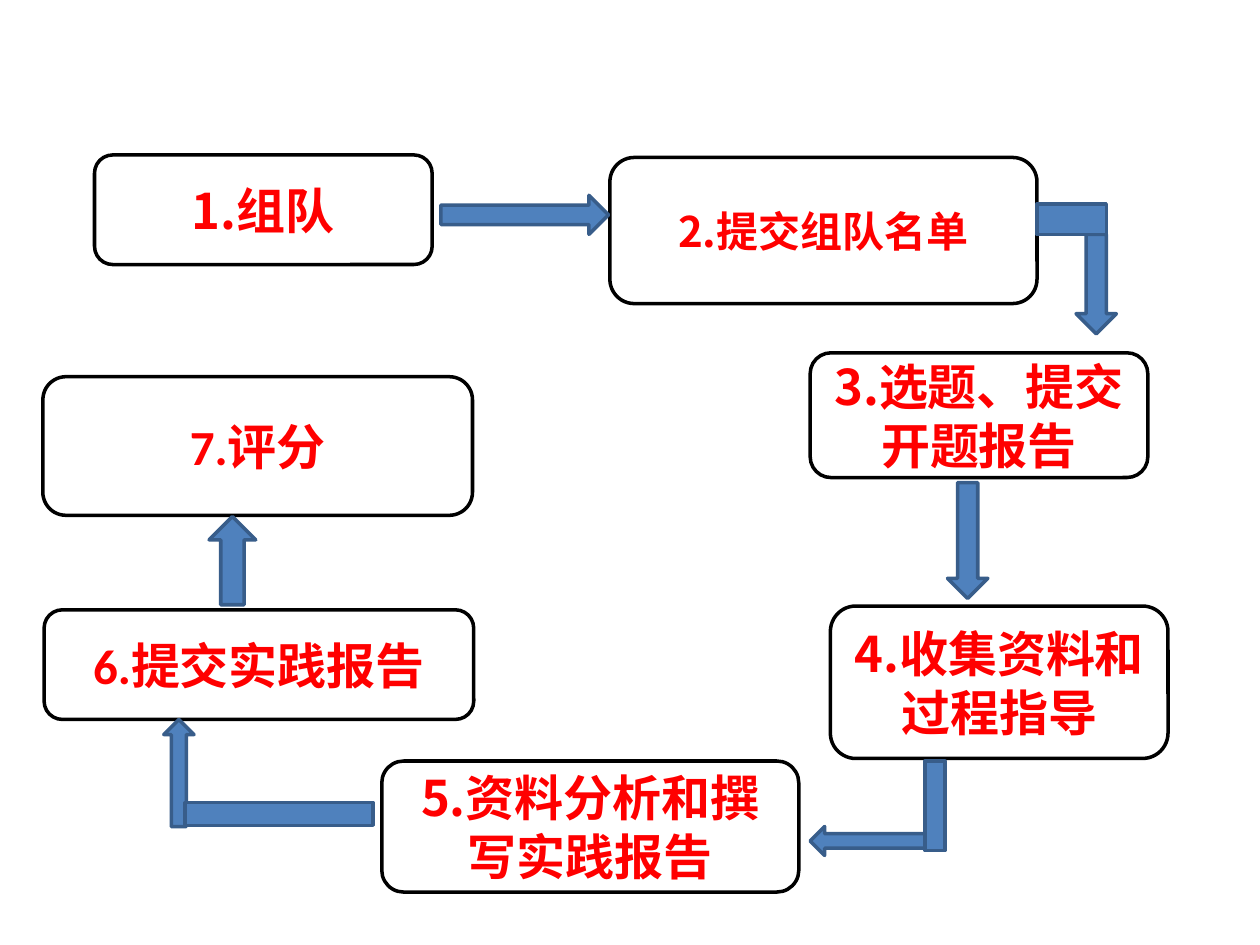
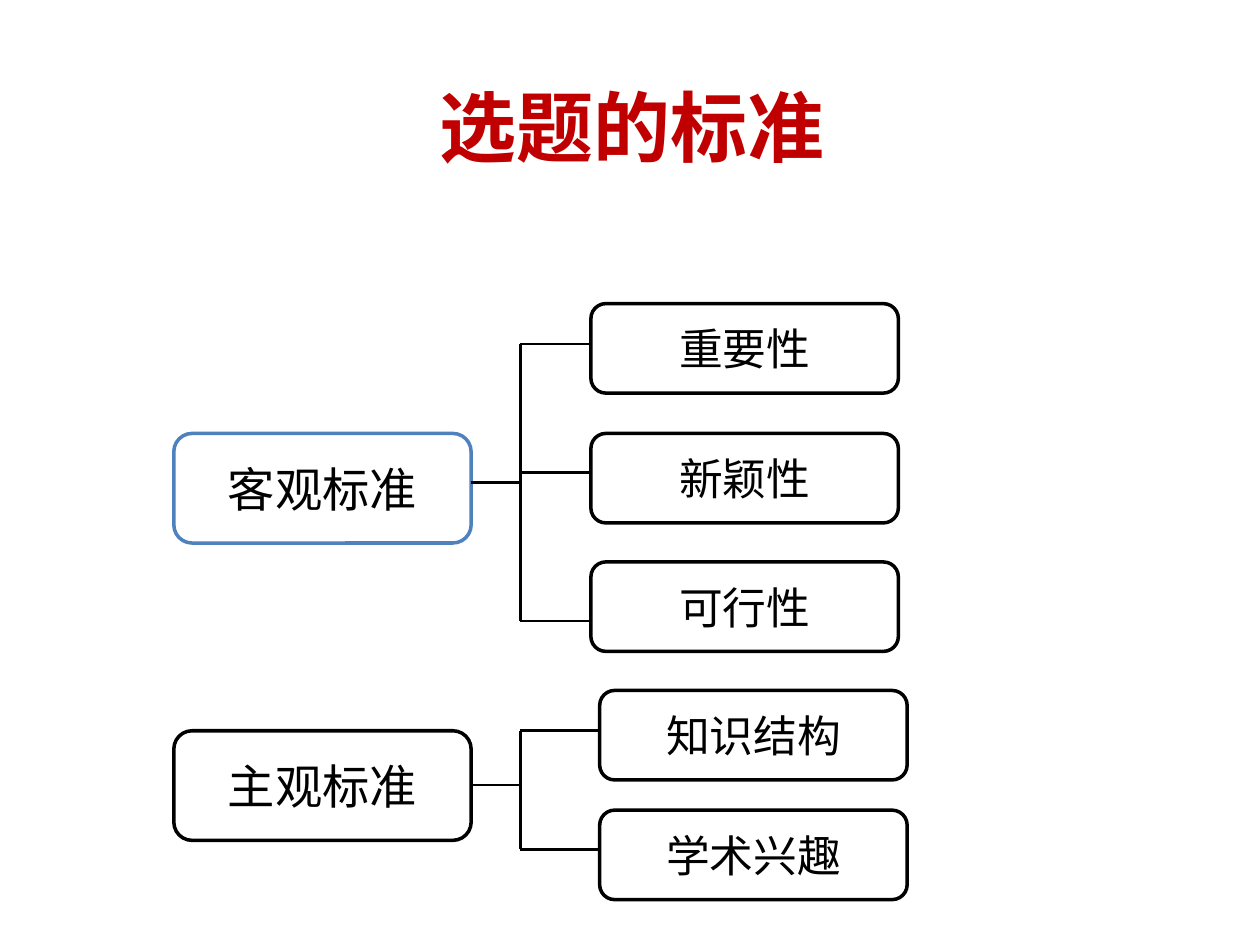
from lxml import etree
from pptx import Presentation
from pptx import util as u
from pptx.dml.color import RGBColor
from pptx.enum import shapes, text
from pptx.oxml import ns

CELL = 0.1  # inches; the slide is a grid of 100 columns by 75 rows
BLACK, WHITE, RED, TITLE_RED = "000000", "FFFFFF", "FF0000", "C00000"
BLUE, DARK_BLUE = "4F81BD", "385D8A"
CJK, LATIN = "Noto Sans CJK JP", "Calibri"
SHAPE = shapes.MSO_SHAPE


def colour(value):
    return RGBColor.from_string(value)


def cells(*counts):
    return [u.Inches(round(count * CELL, 3)) for count in counts]


class Deck:
    """Holds the shared style and the slide being filled."""

    def __init__(self):
        self.presentation = Presentation()
        self.presentation.slide_width, self.presentation.slide_height = cells(100, 75)
        self.slide = None

    def add_slide(self):
        self.slide = self.presentation.slides.add_slide(self.presentation.slide_layouts[6])

    def label(self, shape, runs, size, ink, bold=False, before=0, wrap=True):
        """Centre one paragraph made of (words, font name) runs."""
        frame = shape.text_frame
        frame.word_wrap = wrap
        frame.vertical_anchor = text.MSO_ANCHOR.MIDDLE
        paragraph = frame.paragraphs[0]
        paragraph.alignment = text.PP_ALIGN.CENTER
        paragraph.space_before = u.Pt(before)
        paragraph.font.size = u.Pt(size)
        paragraph.font.bold = bold
        paragraph.font.color.rgb = colour(ink)
        for words, font_name in runs:
            run = paragraph.add_run()
            run.text = words
            run.font.name = font_name
            east_asian = etree.SubElement(run._r.get_or_add_rPr(), ns.qn("a:ea"))
            east_asian.set("typeface", CJK)

    def title(self, words):
        box = self.slide.shapes.add_textbox(*cells(3.5, 5.2, 93.4, 9.6))
        self.label(box, [(words, CJK)], 44, TITLE_RED, bold=True)

    def block(self, kind, place, fill, outline):
        shape = self.slide.shapes.add_shape(kind, *cells(*place))
        shape.shadow.inherit = False
        shape.fill.solid()
        shape.fill.fore_color.rgb = colour(fill)
        shape.line.color.rgb = colour(outline)
        shape.line.width = u.Pt(2)
        return shape

    def box(self, place, runs, size, ink=BLACK, outline=BLACK, **style):
        shape = self.block(SHAPE.ROUNDED_RECTANGLE, place, WHITE, outline)
        self.label(shape, runs, size, ink, **style)

    def arrow_part(self, kind, place):
        self.block(kind, place, BLUE, DARK_BLUE)

    def line(self, *ends):
        connector = self.slide.shapes.add_connector(shapes.MSO_CONNECTOR.STRAIGHT, *cells(*ends))
        connector.line.color.rgb = colour(BLACK)
        connector.line.width = u.Pt(1.5)
        etree.SubElement(connector._element.spPr, ns.qn("a:effectLst"))

    def tree(self, root, root_top, outline, stem, leaf_left, leaves):
        """Draw a root box, its leaf boxes and the bracket joining them."""
        root_left, root_width, spine = 13.8, 23.6, 41.3
        self.box((root_left, root_top, root_width, 8.7), [(root, LATIN)], 27,
                 outline=outline, before=6.8, wrap=False)
        for leaf, top, branch in leaves:
            self.box((leaf_left, top, 24.4, 7.1), [(leaf, LATIN)], 25, wrap=False)
            self.line(spine, branch, leaf_left, branch)
        self.line(spine, leaves[0][2], spine, leaves[-1][2])
        self.line(root_left + root_width, stem, spine, stem)


STEPS = [  # place, number font, words, size
    ((7.5, 12.3, 26.8, 8.7), CJK, "组队", 28),
    ((48.4, 12.5, 33.9, 11.6), CJK, "提交组队名单", 24),
    ((64.3, 28, 26.8, 9.9), CJK, "选题、提交开题报告", 28),
    ((65.9, 48.1, 26.8, 12.1), CJK, "收集资料和过程指导", 28),
    ((30.3, 60.4, 33.1, 10.4), CJK, "资料分析和撰写实践报告", 28),
    ((3.5, 48.4, 34.1, 8.7), LATIN, "提交实践报告", 28),
    ((3.4, 29.9, 34.1, 11), LATIN, "评分", 28),
]
ARROW_PARTS = [
    (SHAPE.RIGHT_ARROW, (35, 15.5, 13.3, 3.1)),
    (SHAPE.DOWN_ARROW, (85.4, 18.6, 3.2, 7.9)),
    (SHAPE.DOWN_ARROW, (75.2, 38.3, 3.2, 9.2)),
    (SHAPE.RECTANGLE, (73.4, 60.4, 1.6, 7.1)),
    (SHAPE.LEFT_ARROW, (64.3, 65.6, 9.1, 2.3)),
    (SHAPE.UP_ARROW, (13, 57.1, 2.4, 8.5)),
    (SHAPE.FLOWCHART_PROCESS, (14.7, 63.7, 14.9, 1.8)),
    (SHAPE.UP_ARROW, (16.6, 41, 3.7, 7)),
    (SHAPE.FLOWCHART_PROCESS, (82.3, 16.2, 5.5, 2.4)),
]


def add_process(deck):
    deck.add_slide()
    for number, (place, number_font, words, size) in enumerate(STEPS, 1):
        runs = [(f"{number}.", number_font), (words, CJK)]
        deck.box(place, runs, size, ink=RED, bold=True)
    for kind, place in ARROW_PARTS:
        deck.arrow_part(kind, place)


def add_criteria(deck):
    deck.add_slide()
    deck.title("选题的标准")
    deck.tree("客观标准", 34.4, BLUE, 38.3, 46.9, [
        ("重要性", 24.1, 27.3), ("新颖性", 34.4, 37.5), ("可行性", 44.6, 49.3)])
    deck.tree("主观标准", 58, BLACK, 62.3, 47.6, [
        ("知识结构", 54.8, 58), ("学术兴趣", 64.3, 67.4)])


def main():
    deck = Deck()
    add_process(deck)
    add_criteria(deck)
    deck.presentation.save("out.pptx")


if __name__ == "__main__":
    main()
